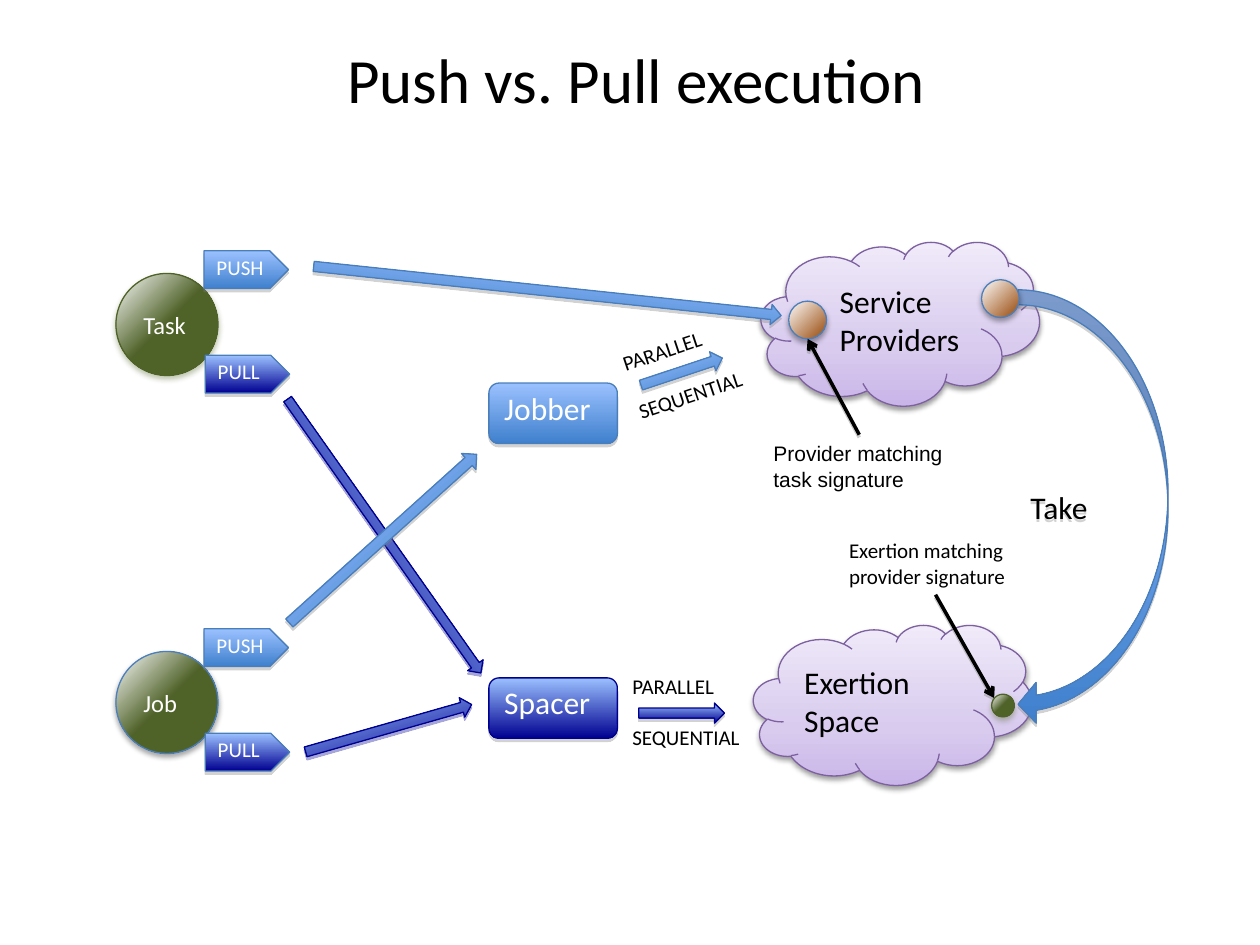
"""Build the slide comparing push and pull execution."""
import pptx
import pptx.util
import pptx.dml.color
import pptx.enum.shapes
import pptx.enum.text
import pptx.oxml.ns
import lxml.etree

Inches = pptx.util.Inches
Pt = pptx.util.Pt
RGBColor = pptx.dml.color.RGBColor
MSO_SHAPE = pptx.enum.shapes.MSO_SHAPE
qn = pptx.oxml.ns.qn

BLACK = RGBColor(0x00, 0x00, 0x00)
WHITE = RGBColor(0xFF, 0xFF, 0xFF)
GRAY = RGBColor(0x80, 0x80, 0x80)
NAVY = RGBColor(0x00, 0x00, 0x90)
BLUE = RGBColor(0x3F, 0x80, 0xCD)
LIGHT_BLUE = RGBColor(0x9B, 0xC1, 0xFF)
BLUE_LINE = RGBColor(0x4A, 0x7E, 0xBB)
BALL_LINE = RGBColor(0x4B, 0x7E, 0xBC)
GREEN = RGBColor(0x4F, 0x62, 0x28)
BROWN = RGBColor(0x98, 0x48, 0x07)
PURPLE_LINE = RGBColor(0x7D, 0x60, 0xA0)
LILAC = RGBColor(0xC9, 0xB5, 0xE8)
PALE_LILAC = RGBColor(0xD8, 0xCB, 0xEE)
FAINT_LILAC = RGBColor(0xF0, 0xEA, 0xF9)

PUSH_STOPS = [(0, LIGHT_BLUE), (100, BLUE)]
PULL_STOPS = [(0, LIGHT_BLUE), (100, NAVY)]
GREEN_STOPS = [(50, GREEN), (100, WHITE)]
BROWN_STOPS = [(0, BROWN), (100, WHITE)]
CLOUD_STOPS = [(0, LILAC), (35, PALE_LILAC), (100, FAINT_LILAC)]


def add_child(parent, tag, **attributes):
    """Append a DrawingML element to its parent."""
    element = lxml.etree.SubElement(parent, qn(tag))
    for name, value in attributes.items():
        element.set(name, str(value))
    return element


def set_gradient(shape, stops, angle):
    """Fill with a linear gradient, or a radial one when angle is None."""
    shape.fill.gradient()
    gradient = shape._element.spPr.find(qn("a:gradFill"))
    for child in list(gradient):
        gradient.remove(child)
    stop_list = add_child(gradient, "a:gsLst")
    for position, color in stops:
        stop = add_child(stop_list, "a:gs", pos=position * 1000)
        add_child(stop, "a:srgbClr", val=color)
    if angle is None:
        radial = add_child(gradient, "a:path", path="circle")
        add_child(radial, "a:fillToRect", l=100000, t=100000)
    else:
        add_child(gradient, "a:lin", ang=angle * 60000, scaled=0)


def set_shadow(shape, color, opacity, blur, distance):
    """Cast a soft shadow straight down."""
    effects = add_child(shape._element.spPr, "a:effectLst")
    shadow = add_child(effects, "a:outerShdw", blurRad=Pt(blur), dist=Pt(distance),
                       dir=5400000, rotWithShape=0)
    tint = add_child(shadow, "a:srgbClr", val=color)
    add_child(tint, "a:alpha", val=opacity * 1000)


def set_text(shape, text, size, color, font="Calibri", spacing=None):
    """Write left-aligned lines and format their runs."""
    frame = shape.text_frame
    frame.word_wrap = True
    frame.text = text
    for paragraph in frame.paragraphs:
        paragraph.alignment = pptx.enum.text.PP_ALIGN.LEFT
        if spacing:
            paragraph.line_spacing = Pt(spacing)
        for run in paragraph.runs:
            run.font.size = Pt(size)
            run.font.name = font
            run.font.color.rgb = color


def add_filled(slide, kind, box, stops, line, angle=90, shadow=(GRAY, 35, 0, 1.8)):
    """Add a preset shape with gradient, outline and shadow."""
    shape = slide.shapes.add_shape(kind, *map(Inches, box))
    set_gradient(shape, stops, angle)
    shape.line.color.rgb = line
    shape.line.width = Pt(0.75)
    set_shadow(shape, *shadow)
    shape.text_frame.vertical_anchor = pptx.enum.text.MSO_ANCHOR.MIDDLE
    return shape


def add_ball(slide, left, top, size, stops, line, shadow_color):
    """Add a shaded ball."""
    return add_filled(slide, MSO_SHAPE.OVAL, (left, top, size, size), stops, line,
                      None, (shadow_color, 35, 3.1, 1.8))


def add_cloud(slide, left, top, height, text, indent):
    """Add a labelled cloud."""
    cloud = add_filled(slide, MSO_SHAPE.CLOUD, (left, top, 2.21, height), CLOUD_STOPS,
                       PURPLE_LINE, 270, (BLACK, 38, 3.1, 1.6))
    set_text(cloud, text, 18, BLACK)
    cloud.text_frame.margin_left = Inches(indent)
    cloud.text_frame.margin_right = 0


def add_requester(slide, top, label, line, shadow_color):
    """Add a ball with its push and pull tags."""
    ball = add_ball(slide, 0.92, top, 0.81, GREEN_STOPS, line, shadow_color)
    set_text(ball, label, 14, WHITE)
    for left, offset, tag_label, stops in ((1.62, -0.18, "PUSH", PUSH_STOPS),
                                           (1.63, 0.65, "PULL", PULL_STOPS)):
        tag = add_filled(slide, MSO_SHAPE.PENTAGON, (left, top + offset, 0.67, 0.3),
                         stops, BLUE_LINE)
        set_text(tag, tag_label, 12, WHITE, spacing=11.4)


def add_broker(slide, top, label, stops, line, spacing):
    """Add a rounded broker box."""
    broker = add_filled(slide, MSO_SHAPE.ROUNDED_RECTANGLE, (3.88, top, 1.02, 0.48),
                        stops, line)
    set_text(broker, label, 18, WHITE, spacing=spacing)


def add_arrow(slide, box, rotation, stops, line, shadow_color=GRAY):
    """Add a rotated block arrow."""
    arrow = add_filled(slide, MSO_SHAPE.RIGHT_ARROW, box, stops, line,
                       shadow=(shadow_color, 35, 0, 1.8))
    arrow.rotation = rotation


def add_label(slide, box, text, font="Calibri", size=12):
    """Add a plain text box."""
    label = slide.shapes.add_textbox(*map(Inches, box))
    set_text(label, text, size, BLACK, font)
    label.text_frame.margin_right = 0
    return label


def add_mode_label(slide, left, top, rotation):
    """Add the two execution modes around an arrow."""
    label = add_label(slide, (left, top, 1.07, 0.71), "PARALLEL\nSEQUENTIAL")
    label.text_frame.paragraphs[1].space_before = Pt(14.4)
    label.rotation = rotation


def add_pointer(slide, label, side, end):
    """Point from a side of a label to a ball."""
    pointer = slide.shapes.add_connector(pptx.enum.shapes.MSO_CONNECTOR.STRAIGHT,
                                         0, 0, *map(Inches, end))
    pointer.begin_connect(label, side)
    pointer.line.color.rgb = BLACK
    pointer.line.width = Pt(2)
    add_child(pointer.line._get_or_add_ln(), "a:tailEnd", type="arrow")
    set_shadow(pointer, GRAY, 38, 0, 1.6)


def add_title(slide, text):
    """Add the centred slide title."""
    title = add_label(slide, (0.55, 0, 9, 1.25), text, size=36)
    title.text_frame.margin_right = Inches(0.1)
    title.text_frame.vertical_anchor = pptx.enum.text.MSO_ANCHOR.MIDDLE
    title.text_frame.paragraphs[0].alignment = pptx.enum.text.PP_ALIGN.CENTER


def main():
    """Assemble and save the slide."""
    presentation = pptx.Presentation()
    presentation.slide_width = Inches(10)
    presentation.slide_height = Inches(7.5)
    slide = presentation.slides.add_slide(presentation.slide_layouts[6])

    add_title(slide, "Push vs. Pull execution")
    add_cloud(slide, 5.98, 4.96, 1.27, "Exertion\nSpace", 0.1)
    add_cloud(slide, 6.04, 1.92, 1.3, "Service\nProviders", 0.32)
    add_requester(slide, 2.17, "Task", GREEN, GREEN)
    add_requester(slide, 5.17, "Job", BALL_LINE, BLACK)
    add_broker(slide, 3.04, "Jobber", PUSH_STOPS, BLUE_LINE, 15.6)
    add_broker(slide, 5.38, "Spacer", PULL_STOPS, NAVY, 14.6)

    add_arrow(slide, (1.72, 4.18, 2.66, 0.15), 54.8, PULL_STOPS, NAVY, NAVY)
    add_arrow(slide, (2.04, 4.19, 2, 0.17), 318, PUSH_STOPS, BLUE_LINE)
    add_arrow(slide, (5.07, 2.87, 0.68, 0.16), 341.6, PUSH_STOPS, BLUE_LINE)
    add_arrow(slide, (5.07, 5.58, 0.68, 0.16), 0, PULL_STOPS, NAVY)
    add_arrow(slide, (2.4, 5.7, 1.37, 0.16), 344.1, PULL_STOPS, NAVY, NAVY)
    add_mode_label(slide, 4.89, 2.59, 341.5)
    add_mode_label(slide, 4.92, 5.3, 0)
    add_arrow(slide, (2.48, 2.23, 3.73, 0.16), 6, PUSH_STOPS, BLUE_LINE)

    add_ball(slide, 6.26, 2.39, 0.3, BROWN_STOPS, BALL_LINE, BLACK)
    provider_note = add_label(slide, (6.04, 3.45, 1.56, 0.5),
                              "Provider matching\ntask signature", "Arial")
    add_pointer(slide, provider_note, 0, (6.41, 2.69))
    exertion_note = add_label(slide, (6.64, 4.22, 1.57, 0.5),
                              "Exertion matching\nprovider signature")
    add_pointer(slide, exertion_note, 2, (7.89, 5.54))
    add_ball(slide, 7.87, 5.51, 0.18, GREEN_STOPS, GREEN, GREEN)

    take = add_filled(slide, MSO_SHAPE.CURVED_LEFT_ARROW, (8.08, 2.3, 1.19, 3.45),
                      PUSH_STOPS, BLUE_LINE)
    for index, value in enumerate((0.1, 0.27, 0.12)):
        take.adjustments[index] = value
    set_text(take, "Take", 18, BLACK)
    add_ball(slide, 7.79, 2.22, 0.3, BROWN_STOPS, BALL_LINE, BLACK)
    presentation.save("out.pptx")


if __name__ == "__main__":
    main()
